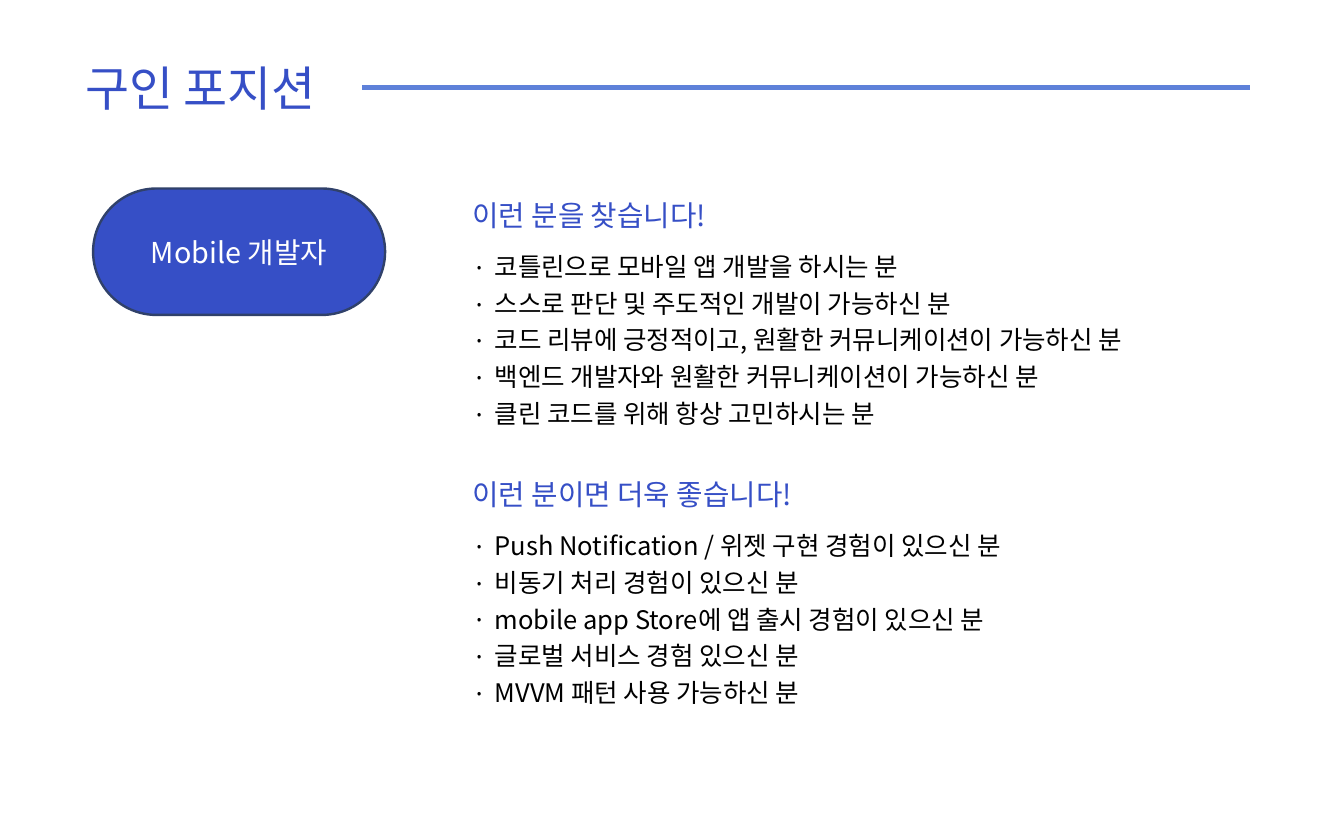
from dataclasses import dataclass

from lxml.etree import SubElement
from pptx import Presentation
from pptx.dml.color import RGBColor
from pptx.enum.shapes import MSO_CONNECTOR, MSO_SHAPE
from pptx.enum.text import MSO_ANCHOR, MSO_AUTO_SIZE, PP_ALIGN
from pptx.oxml.ns import qn
from pptx.slide import Slide
from pptx.text.text import TextFrame, _Paragraph
from pptx.util import Pt

FONT_NAME = "Noto Sans CJK KR"
BLUE = RGBColor(0x36, 0x4F, 0xC6)
LIGHT_BLUE = RGBColor(0x5E, 0x81, 0xD9)
NAVY = RGBColor(0x30, 0x41, 0x6A)
WHITE = RGBColor(0xFF, 0xFF, 0xFF)
BLACK = RGBColor(0x00, 0x00, 0x00)

SECTION_LEFT = Pt(288.7)
SECTION_HEIGHT = Pt(153.4)
BULLET_INDENT = Pt(14)


@dataclass(frozen=True)
class Section:
    top: float
    width: float
    heading: str
    requirements: tuple[str, ...]


SECTIONS = (
    Section(
        118.1,
        514.8,
        "이런 분을 찾습니다!",
        (
            "코틀린으로 모바일 앱 개발을 하시는 분",
            "스스로 판단 및 주도적인 개발이 가능하신 분",
            "코드 리뷰에 긍정적이고, 원활한 커뮤니케이션이 가능하신 분",
            "백엔드 개발자와 원활한 커뮤니케이션이 가능하신 분",
            "클린 코드를 위해 항상 고민하시는 분",
        ),
    ),
    Section(
        293,
        493.9,
        "이런 분이면 더욱 좋습니다!",
        (
            "Push Notification / 위젯 구현 경험이 있으신 분",
            "비동기 처리 경험이 있으신 분",
            "mobile app Store에 앱 출시 경험이 있으신 분",
            "글로벌 서비스 경험 있으신 분",
            "MVVM 패턴 사용 가능하신 분",
        ),
    ),
)


def add_text(paragraph: _Paragraph, text: str, size: float, color: RGBColor) -> None:
    run = paragraph.add_run()
    run.text = text
    run.font.size = Pt(size)
    run.font.name = FONT_NAME
    run.font.color.rgb = color
    east_asian = SubElement(run.font._element, qn("a:ea"))
    east_asian.set("typeface", FONT_NAME)


def add_bullet(paragraph: _Paragraph) -> None:
    properties = paragraph._p.get_or_add_pPr()
    properties.set("marL", str(BULLET_INDENT))
    properties.set("indent", str(-BULLET_INDENT))
    SubElement(properties, qn("a:buFont")).set("typeface", FONT_NAME)
    SubElement(properties, qn("a:buChar")).set("char", "·")


def prepare_frame(text_frame: TextFrame, anchor: MSO_ANCHOR) -> None:
    text_frame.word_wrap = True
    text_frame.auto_size = MSO_AUTO_SIZE.NONE
    text_frame.vertical_anchor = anchor


def add_title(slide: Slide) -> None:
    title = slide.shapes.title
    title.left, title.top = Pt(46.1), Pt(33.1)
    title.width, title.height = Pt(208.1), Pt(42.5)
    prepare_frame(title.text_frame, MSO_ANCHOR.TOP)
    paragraph = title.text_frame.paragraphs[0]
    paragraph.alignment = PP_ALIGN.LEFT
    add_text(paragraph, "구인 포지션", 30, BLUE)


def add_title_rule(slide: Slide) -> None:
    rule = slide.shapes.add_connector(
        MSO_CONNECTOR.STRAIGHT, Pt(226.8), Pt(54.7), Pt(782.6), Pt(54.7)
    )
    rule.line.color.rgb = LIGHT_BLUE
    rule.line.width = Pt(3)
    SubElement(rule._element.spPr, qn("a:effectLst"))


def add_position(slide: Slide) -> None:
    shape = slide.shapes.add_shape(
        MSO_SHAPE.ROUNDED_RECTANGLE, Pt(58.3), Pt(118.1), Pt(182.9), Pt(79.2)
    )
    shape.adjustments[0] = 0.5
    shape.shadow.inherit = False
    shape.fill.solid()
    shape.fill.fore_color.rgb = BLUE
    shape.line.color.rgb = NAVY
    shape.line.width = Pt(1.5)
    prepare_frame(shape.text_frame, MSO_ANCHOR.MIDDLE)
    paragraph = shape.text_frame.paragraphs[0]
    paragraph.alignment = PP_ALIGN.CENTER
    add_text(paragraph, "Mobile 개발자", 18, WHITE)


def add_section(slide: Slide, section: Section) -> None:
    text_box = slide.shapes.add_textbox(
        SECTION_LEFT, Pt(section.top), Pt(section.width), SECTION_HEIGHT
    )
    text_frame = text_box.text_frame
    prepare_frame(text_frame, MSO_ANCHOR.TOP)
    heading = text_frame.paragraphs[0]
    heading.line_spacing = 1.1
    heading.space_after = Pt(8)
    add_text(heading, section.heading, 18, BLUE)
    for requirement in section.requirements:
        paragraph = text_frame.add_paragraph()
        paragraph.line_spacing = 1.2
        add_bullet(paragraph)
        add_text(paragraph, requirement, 16, BLACK)


def main() -> None:
    presentation = Presentation()
    presentation.slide_width = Pt(841.68)
    presentation.slide_height = Pt(510.48)
    slide = presentation.slides.add_slide(presentation.slide_layouts[5])
    add_title(slide)
    add_title_rule(slide)
    add_position(slide)
    for section in SECTIONS:
        add_section(slide, section)
    presentation.save("out.pptx")


main()
